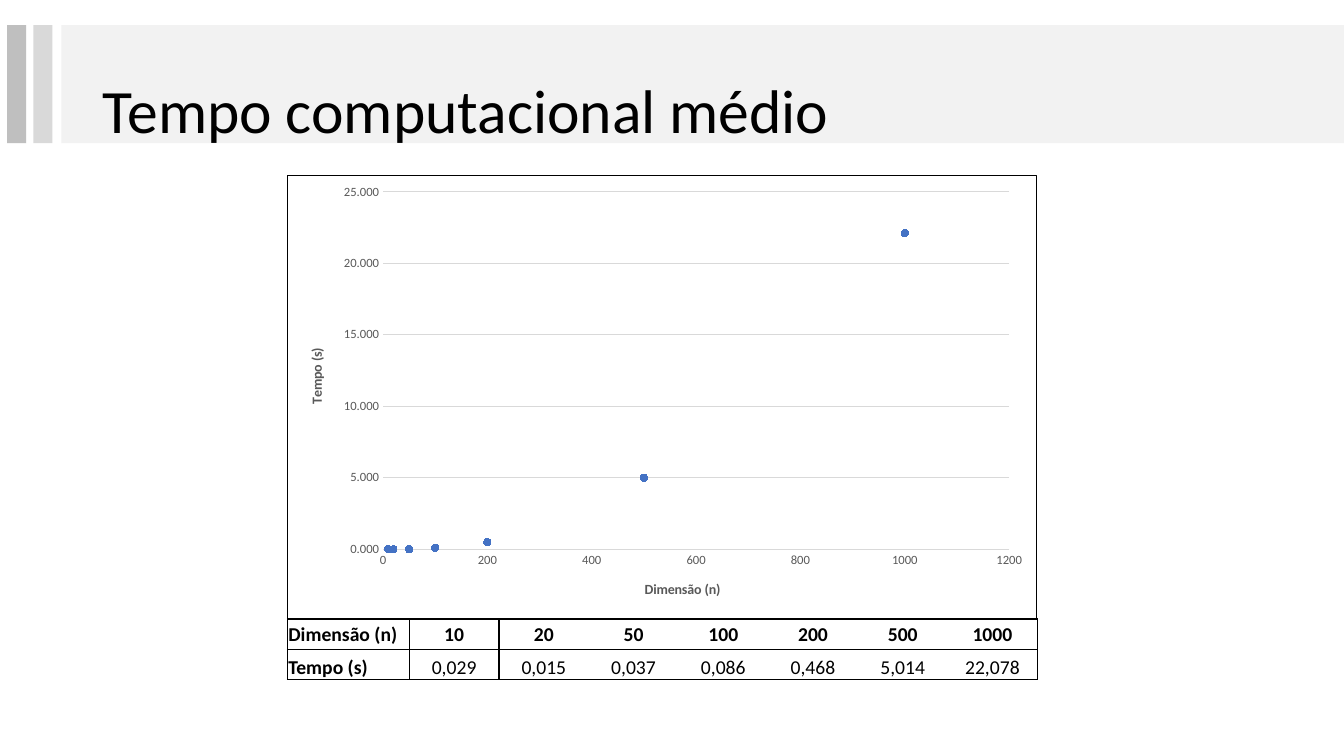
from lxml import etree
from pptx import Presentation
from pptx.chart.data import XyChartData
from pptx.dml.color import RGBColor
from pptx.enum.chart import XL_CHART_TYPE as ChartType, XL_MARKER_STYLE as Marker, XL_TICK_MARK as Tick
from pptx.enum.shapes import MSO_SHAPE as Shape
from pptx.enum.text import MSO_ANCHOR as Anchor, MSO_AUTO_SIZE as AutoSize, PP_ALIGN as Align
from pptx.oxml import parse_xml
from pptx.oxml.ns import nsdecls, qn
from pptx.util import Inches, Pt

FONT = "Calibri"
BLACK, GREY, GRID, BLUE = "000000", "595959", "D9D9D9", "4472C4"
LEFT, WIDTH = 2.85, 7.44
sizes = [10, 20, 50, 100, 200, 500, 1000]
times = ["0,029", "0,015", "0,037", "0,086", "0,468", "5,014", "22,078"]


def write(frame, text, size, color=BLACK, bold=False, align=Align.LEFT):
    """Put one formatted paragraph into a text frame and return it."""
    para = frame.paragraphs[0]
    para.alignment = align
    span = para.add_run()
    span.text = text
    span.font.name, span.font.size, span.font.bold = FONT, Pt(size), bold
    span.font.color.rgb = RGBColor.from_string(color)
    return para


def place(element, index, **fractions):
    """Give a chart part a manual layout in fractions of the chart."""
    for old in element.findall(qn("c:layout")):
        element.remove(old)
    layout = parse_xml(f"<c:layout {nsdecls('c')}><c:manualLayout/></c:layout>")
    settings = {"xMode": "edge", "yMode": "edge", **fractions}
    if "w" in fractions:
        settings = {"layoutTarget": "inner", **settings}
    for key, value in settings.items():
        etree.SubElement(layout[0], qn(f"c:{key}")).set("val", str(value))
    element.insert(index, layout)


deck = Presentation()
deck.slide_width, deck.slide_height = Inches(13.33), Inches(7.5)
page = deck.slides.add_slide(deck.slide_layouts[5])

# Header bars, with the title in front of them
for left, width, color in [(0.61, 12.72, "F2F2F2"), (0.33, 0.19, "D9D9D9"), (0.07, 0.19, "BFBFBF")]:
    bar = page.shapes.add_shape(Shape.RECTANGLE, Inches(left), Inches(0.25), Inches(width), Inches(1.17))
    bar.shadow.inherit = False
    bar.fill.solid()
    bar.fill.fore_color.rgb = RGBColor.from_string(color)
    bar.line.fill.background()

title = page.shapes.title
title.left, title.top, title.width, title.height = Inches(0.92), Inches(0.4), Inches(11.5), Inches(1.45)
title.text_frame.auto_size = AutoSize.NONE
title.text_frame.vertical_anchor = Anchor.MIDDLE
write(title.text_frame, "Tempo computacional médio", 44).line_spacing = 0.9
page.shapes._spTree.append(title._element)

# Scatter chart, with times to one decimal
data = XyChartData(number_format="0.000")
points = data.add_series("Tempo (s)")
for size, time in zip(sizes, times):
    points.add_data_point(size, round(float(time.replace(",", ".")), 1))
chart = page.shapes.add_chart(ChartType.XY_SCATTER, Inches(LEFT), Inches(1.74),
                              Inches(WIDTH), Inches(4.4), data).chart
chart.has_legend = chart.has_title = False
chart.font.name, chart.font.size = FONT, Pt(10)
chart.plots[0].vary_by_categories = False
chart._chartSpace.find(qn("c:txPr")).addprevious(parse_xml(
    f"<c:spPr {nsdecls('c', 'a')}><a:noFill/><a:ln w='9525'><a:solidFill>"
    f"<a:srgbClr val='{BLACK}'/></a:solidFill></a:ln></c:spPr>"))
place(chart._chartSpace.chart.plotArea, 0, x=0.127, y=0.036, w=0.836, h=0.808)

series = chart.plots[0].series[0]
series.smooth = False
series.format.line.fill.background()
series.marker.style, series.marker.size = Marker.CIRCLE, 5
series.marker.format.fill.solid()
series.marker.format.fill.fore_color.rgb = RGBColor.from_string(BLUE)
series.marker.format.line.color.rgb = RGBColor.from_string(BLUE)

across, up = chart.category_axis, chart.value_axis
for axis, label, top, step, number_format, x, y in [
        (across, "Dimensão (n)", 1200, 200, "General", 0.473, 0.909),
        (up, "Tempo (s)", 25, 5, "0.000", 0.023, 0.383)]:
    axis.minimum_scale, axis.maximum_scale, axis.major_unit = 0, top, step
    axis.major_tick_mark = axis.minor_tick_mark = Tick.NONE
    axis.has_major_gridlines = axis is up
    axis.tick_labels.number_format = number_format
    axis.tick_labels.number_format_is_linked = False
    font = axis.tick_labels.font
    font.name, font.size, font.color.rgb = FONT, Pt(9), RGBColor.from_string(GREY)
    write(axis.axis_title.text_frame, label, 10, GREY, bold=True, align=Align.CENTER)
    place(axis.axis_title._element, 1, x=x, y=y)
up.format.line.fill.background()
for line in (across.format.line, up.major_gridlines.format.line):
    line.color.rgb, line.width = RGBColor.from_string(GRID), Pt(0.75)

# Table of the measured values
rows = [["Dimensão (n)", *map(str, sizes)], ["Tempo (s)", *times]]
last = len(sizes)
table = page.shapes.add_table(2, last + 1, Inches(LEFT), Inches(6.14), Inches(WIDTH), Inches(0.6)).table
table.first_row = table.horz_banding = False
for index, column in enumerate(table.columns):
    column.width = Inches({0: 1.21, 1: 0.89}.get(index, 0.89))
for row_index, row in enumerate(rows):
    table.rows[row_index].height = Inches(0.3)
    for index, text in enumerate(row):
        cell = table.cell(row_index, index)
        cell.margin_left = cell.margin_right = cell.margin_top = Inches(0.01)
        cell.margin_bottom = 0
        cell.vertical_anchor = Anchor.BOTTOM if row_index else Anchor.MIDDLE
        write(cell.text_frame, text, 14, bold=row_index == 0 or index == 0,
              align=Align.CENTER if index else Align.LEFT)
        edges = {"L": index <= 2, "R": index in (0, 1, last), "T": True, "B": True}
        for edge, drawn in edges.items():
            fill = f"<a:solidFill><a:srgbClr val='{BLACK}'/></a:solidFill>" if drawn else "<a:noFill/>"
            cell._tc.get_or_add_tcPr().append(parse_xml(
                f"<a:ln{edge} {nsdecls('a')} w='12700'>{fill}</a:ln{edge}>"))
        cell.fill.background()

deck.save("out.pptx")
